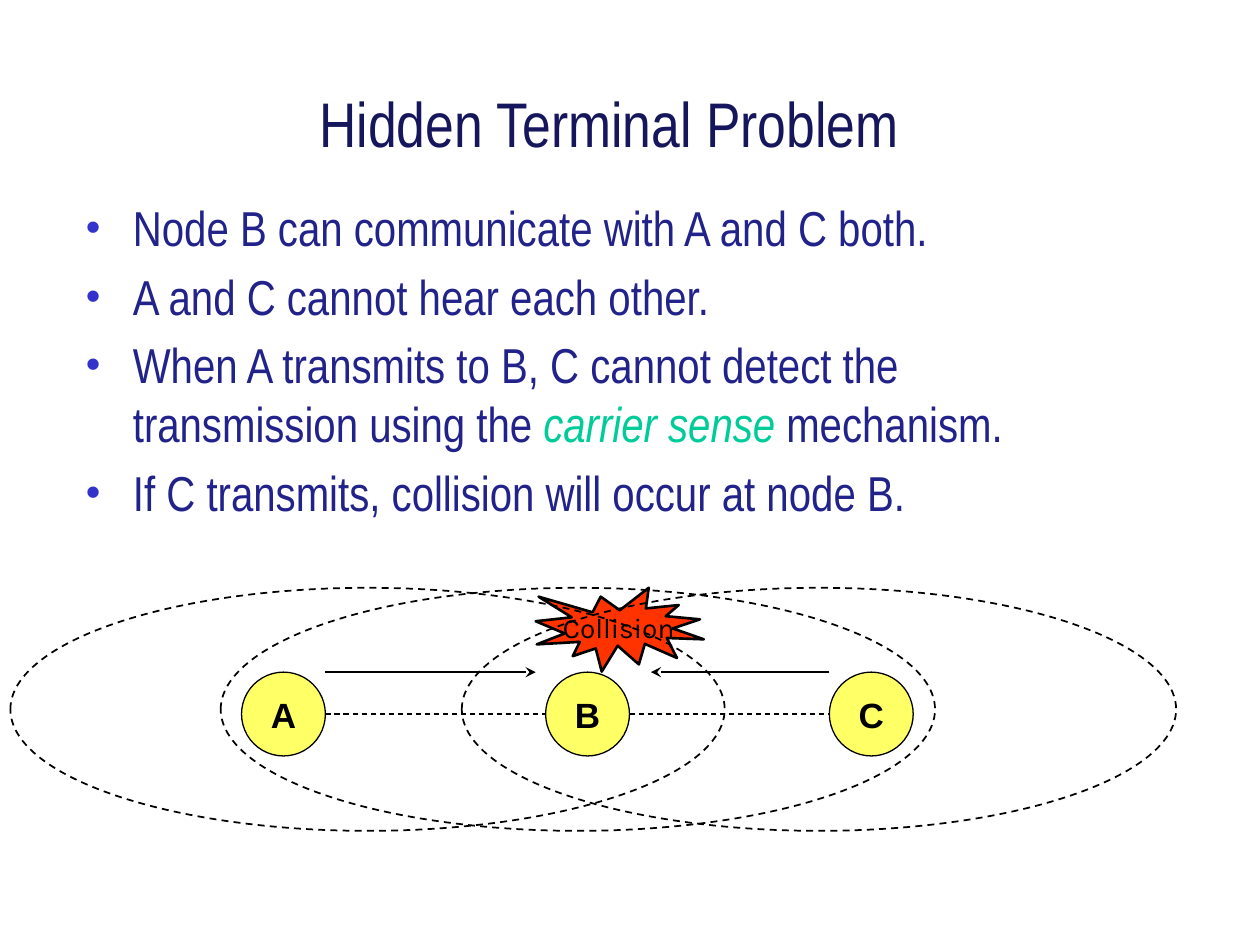
from dataclasses import dataclass

import pptx
import pptx.util
from lxml import etree
from pptx.dml.color import RGBColor
from pptx.enum.dml import MSO_LINE
from pptx.enum.shapes import MSO_CONNECTOR, MSO_SHAPE
from pptx.enum.text import MSO_ANCHOR, PP_ALIGN
from pptx.oxml.ns import qn
from pptx.util import Cm, Pt

BLACK = RGBColor(0x00, 0x00, 0x00)
NODE_YELLOW = RGBColor(0xFF, 0xFF, 0x66)
COLLISION_RED = RGBColor(0xFF, 0x33, 0x00)
TITLE_NAVY = RGBColor(0x16, 0x16, 0x5D)
BODY_BLUE = RGBColor(0x22, 0x22, 0x8B)
BULLET_BLUE = RGBColor(0x33, 0x33, 0xCC)
TERM_GREEN = RGBColor(0x00, 0xCC, 0x99)

NODE_SIZE = 1.69
NODE_TOP = 13.55
LINK_Y = NODE_TOP + NODE_SIZE / 2
RANGE_TOP, RANGE_WIDTH, RANGE_HEIGHT = 11.85, 14.4, 4.9
TERM = "carrier sense"


@dataclass
class Node:
    label: str
    left: float  # cm

    @property
    def right(self) -> float:
        return self.left + NODE_SIZE


@dataclass
class Label:
    text: str
    font: str
    size: int
    bold: bool = False


NODES = [Node("A", 4.87), Node("B", 11.0), Node("C", 16.72)]
RANGE_LEFTS = [4.45, 9.31, 0.21]  # B, C, A
STATEMENTS = [
    "Node B can communicate with A and C both.",
    "A and C cannot hear each other.",
    f"When A transmits to B, C cannot detect the transmission using the {TERM} mechanism.",
    "If C transmits, collision will occur at node B.",
]


def style_font(font, name: str, size: int, color: RGBColor) -> None:
    font.name = name
    font.size = Pt(size)
    font.color.rgb = color


def add_outline(slide, preset, left: float, top: float, width: float,
                height: float, weight: float):
    shape = slide.shapes.add_shape(preset, Cm(left), Cm(top), Cm(width), Cm(height))
    shape.shadow.inherit = False
    shape.line.color.rgb = BLACK
    shape.line.width = Pt(weight)
    return shape


def fill_and_label(shape, fill: RGBColor, label: Label) -> None:
    shape.fill.solid()
    shape.fill.fore_color.rgb = fill
    frame = shape.text_frame
    frame.word_wrap = False
    frame.vertical_anchor = MSO_ANCHOR.MIDDLE
    frame.text = label.text
    paragraph = frame.paragraphs[0]
    paragraph.alignment = PP_ALIGN.CENTER
    style_font(paragraph.runs[0].font, label.font, label.size, BLACK)
    paragraph.runs[0].font.bold = label.bold


def add_line(slide, start: float, end: float, y: float, weight: float):
    line = slide.shapes.add_connector(
        MSO_CONNECTOR.STRAIGHT, Cm(start), Cm(y), Cm(end), Cm(y))
    line.line.color.rgb = BLACK
    line.line.width = Pt(weight)
    etree.SubElement(line._element.spPr, qn("a:effectLst"))
    return line


def add_transmission(slide, start: float, end: float) -> None:
    arrow = add_line(slide, start, end, NODE_TOP, 1.5)
    etree.SubElement(arrow.line._get_or_add_ln(), qn("a:tailEnd"), type="stealth")


def add_text_box(slide, left: float, top: float, width: float, height: float):
    box = slide.shapes.add_textbox(Cm(left), Cm(top), Cm(width), Cm(height))
    box.text_frame.word_wrap = True
    return box.text_frame


def add_bullet(paragraph) -> None:
    properties = paragraph._p.get_or_add_pPr()
    indent = Cm(0.95)
    properties.set("marL", str(indent))
    properties.set("indent", str(-indent))
    color = etree.SubElement(properties, qn("a:buClr"))
    etree.SubElement(color, qn("a:srgbClr"), val=str(BULLET_BLUE))
    etree.SubElement(properties, qn("a:buSzPct"), val="85000")
    etree.SubElement(properties, qn("a:buFont"), typeface="Arial")
    etree.SubElement(properties, qn("a:buChar"), char="•")


def add_statement(paragraph, statement: str) -> None:
    add_bullet(paragraph)
    before, term, after = statement.partition(TERM)
    for part in filter(None, (before, term, after)):
        run = paragraph.add_run()
        run.text = part
        is_term = part == TERM
        style_font(run.font, "Arial Narrow", 28, TERM_GREEN if is_term else BODY_BLUE)
        run.font.italic = is_term


def main() -> None:
    presentation = pptx.Presentation()
    presentation.slide_width, presentation.slide_height = Cm(25.4), Cm(19.05)
    slide = presentation.slides.add_slide(presentation.slide_layouts[6])

    # Nodes and the links between neighbours
    for node in NODES:
        circle = add_outline(slide, MSO_SHAPE.OVAL, node.left, NODE_TOP,
                             NODE_SIZE, NODE_SIZE, 0.75)
        fill_and_label(circle, NODE_YELLOW, Label(node.label, "Arial", 20, True))
    for node, neighbour in zip(NODES, NODES[1:]):
        link = add_line(slide, node.right, neighbour.left, LINK_Y, 0.75)
        link.line.dash_style = MSO_LINE.DASH

    # Title
    title = add_text_box(slide, 1.48, 1.14, 21.6, 2.67)
    title.vertical_anchor = MSO_ANCHOR.MIDDLE
    title.text = "Hidden Terminal Problem"
    title.paragraphs[0].alignment = PP_ALIGN.CENTER
    style_font(title.paragraphs[0].runs[0].font, "Arial Narrow", 36, TITLE_NAVY)

    # Statements
    body = add_text_box(slide, 1.48, 3.86, 21.6, 12.9)
    for index, statement in enumerate(STATEMENTS):
        paragraph = body.add_paragraph() if index else body.paragraphs[0]
        if index:
            paragraph.space_before = Pt(5.6)
        add_statement(paragraph, statement)

    # Both transmissions towards B and their collision
    sender_a, _, sender_c = NODES
    add_transmission(slide, sender_a.right, 10.8)
    add_transmission(slide, sender_c.left, 13.12)
    collision = add_outline(slide, MSO_SHAPE.EXPLOSION1, 10.8, RANGE_TOP, 3.39, 1.69, 1.5)
    fill_and_label(collision, COLLISION_RED, Label("Collision", "Karla", 16))

    # Radio ranges
    for left in RANGE_LEFTS:
        radio_range = add_outline(slide, MSO_SHAPE.OVAL, left, RANGE_TOP,
                                  RANGE_WIDTH, RANGE_HEIGHT, 1)
        radio_range.fill.background()
        radio_range.line.dash_style = MSO_LINE.DASH

    presentation.save("out.pptx")


if __name__ == "__main__":
    main()
